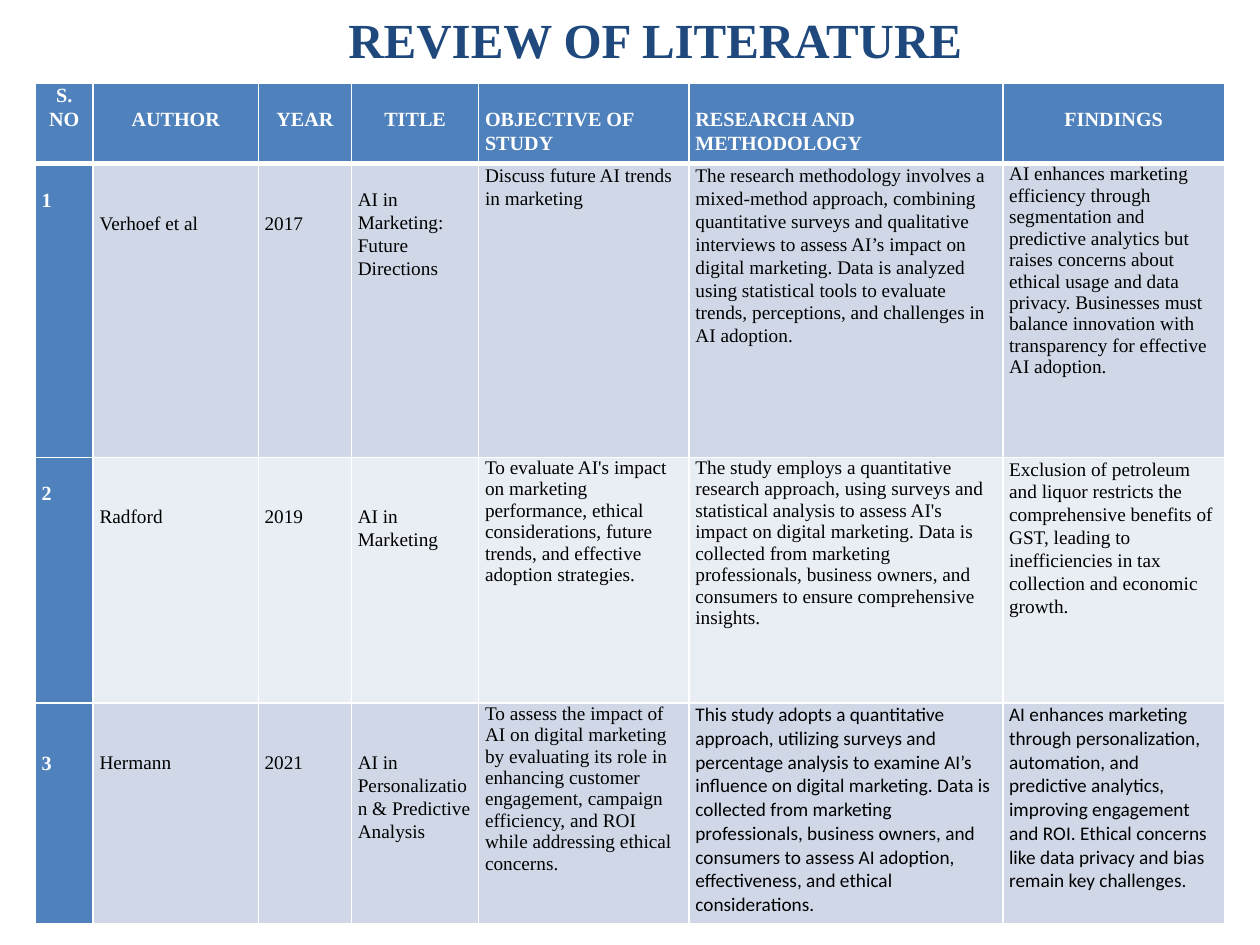
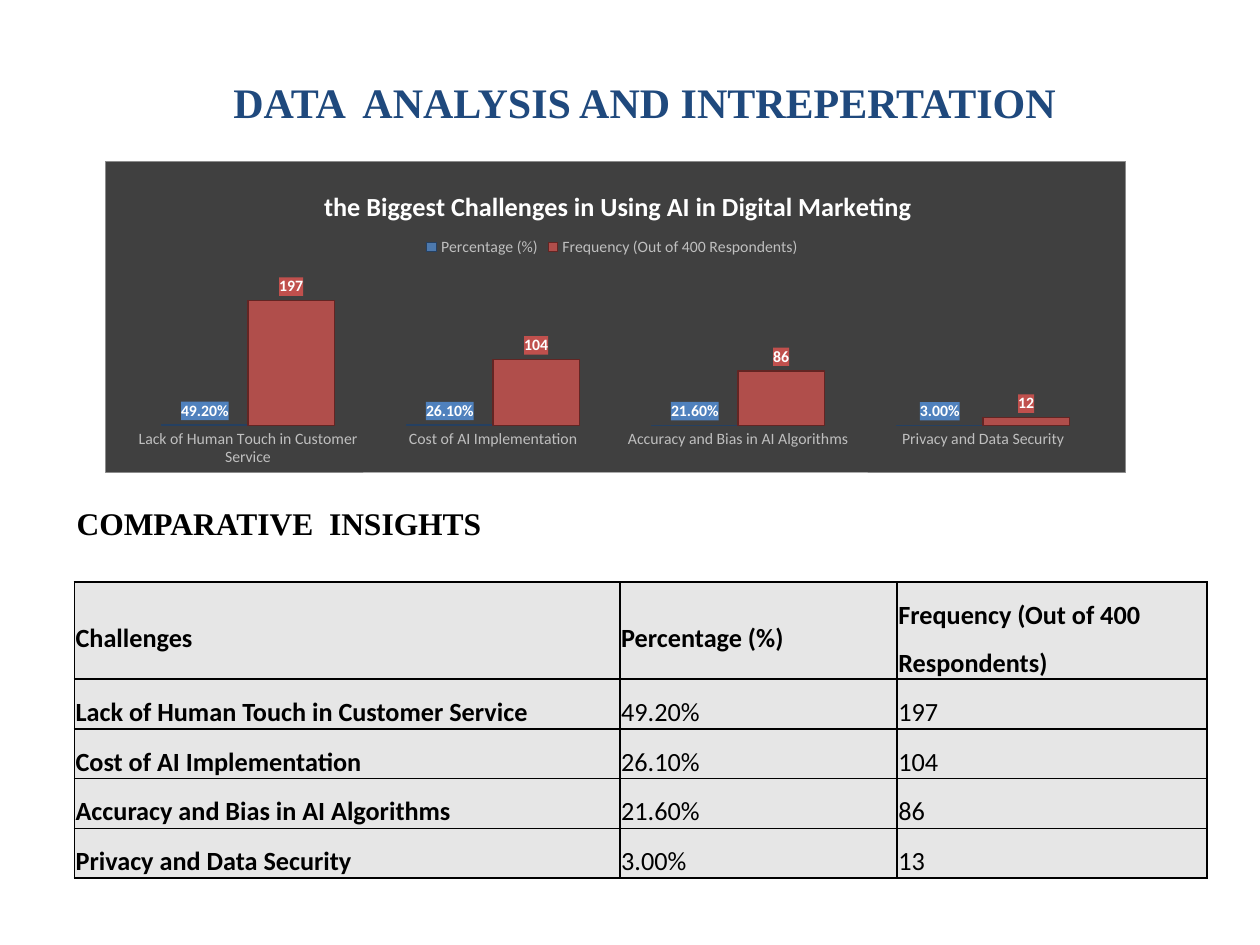
from lxml.etree import SubElement
from pptx import Presentation
from pptx.chart.data import CategoryChartData
from pptx.dml.color import RGBColor
from pptx.enum.chart import XL_CHART_TYPE as ChartType
from pptx.enum.chart import XL_LABEL_POSITION as LabelPosition
from pptx.enum.chart import XL_LEGEND_POSITION as LegendPosition
from pptx.enum.chart import XL_TICK_MARK as TickMark
from pptx.enum.text import MSO_ANCHOR as Anchor
from pptx.enum.text import MSO_AUTO_SIZE as AutoSize
from pptx.enum.text import PP_ALIGN as Align
from pptx.oxml import parse_xml
from pptx.oxml.ns import nsdecls, qn
from pptx.util import Inches, Pt

COLORS = {
    "navy": "1F497D", "blue": "4F81BD", "red": "C0504D",
    "dark_blue": "254061", "dark_red": "632523",
    "band": "D0D8E8", "light_band": "E9EDF4", "gray": "E6E6E6",
    "charcoal": "404040", "chart_border": "8C8C8C", "silver": "BFBFBF",
    "white": "FFFFFF", "black": "000000",
}
SERIF, SANS = "Times New Roman", "Calibri"
LINE_STEP = 0.19

LITERATURE_COLUMNS = [
    ("S. NO", 0.46, 0, Align.CENTER),
    ("AUTHOR", 1.31, 1, Align.CENTER),
    ("YEAR", 0.74, 1, Align.CENTER),
    ("TITLE", 1.01, 1, Align.CENTER),
    ("OBJECTIVE OF STUDY", 1.67, 1, Align.LEFT),
    ("RESEARCH AND METHODOLOGY", 2.49, 1, Align.LEFT),
    ("FINDINGS", 1.76, 1, Align.CENTER),
]
LITERATURE_HEIGHTS = [0.64, 2.33, 1.95, 1.75]
STUDIES = [
    ["1", "Verhoef et al", "2017", "AI in Marketing: Future Directions",
     "Discuss future AI trends in marketing",
     "The research methodology involves a mixed-method approach, combining quantitative surveys "
     "and qualitative interviews to assess AI’s impact on digital marketing. Data is analyzed "
     "using statistical tools to evaluate trends, perceptions, and challenges in AI adoption.",
     "AI enhances marketing efficiency through segmentation and predictive analytics but raises "
     "concerns about ethical usage and data privacy. Businesses must balance innovation with "
     "transparency for effective AI adoption."],
    ["2", "Radford", "2019", "AI in Marketing",
     "To evaluate AI's impact on marketing performance, ethical considerations, future trends, "
     "and effective adoption strategies.",
     "The study employs a quantitative research approach, using surveys and statistical analysis "
     "to assess AI's impact on digital marketing. Data is collected from marketing "
     "professionals, business owners, and consumers to ensure comprehensive insights.",
     "Exclusion of petroleum and liquor restricts the comprehensive benefits of GST, leading to "
     "inefficiencies in tax collection and economic growth."],
    ["3", "Hermann", "2021", "AI in Personalization & Predictive Analysis",
     "To assess the impact of AI on digital marketing by evaluating its role in enhancing "
     "customer engagement, campaign efficiency, and ROI while addressing ethical concerns.",
     "This study adopts a quantitative approach, utilizing surveys and percentage analysis to "
     "examine AI’s influence on digital marketing. Data is collected from marketing "
     "professionals, business owners, and consumers to assess AI adoption, effectiveness, and "
     "ethical considerations.",
     "AI enhances marketing through personalization, automation, and predictive analytics, "
     "improving engagement and ROI. Ethical concerns like data privacy and bias remain key "
     "challenges."],
]
STUDY_OFFSETS = [[1, 2, 2, 1, 0, 0, 0], [1, 2, 2, 2, 0, 0, 0], [2, 2, 2, 2, 0, 0, 0]]
SINGLE_SPACED = {(1, 6), (2, 4), (2, 5), (3, 4), (3, 5), (3, 6)}
SANS_CELLS = {(3, 5), (3, 6)}

CHALLENGES = ["Lack of Human Touch in Customer Service", "Cost of AI Implementation",
              "Accuracy and Bias in AI Algorithms", "Privacy and Data Security"]
PERCENTAGES = [0.492, 0.261, 0.216, 0.03]
CHART_FREQUENCIES = [197, 104, 86, 12]
TABLE_FREQUENCIES = [197, 104, 86, 13]
PERCENTAGE_NAME = "Percentage (%)"
FREQUENCY_NAME = "Frequency (Out of 400 Respondents)"


def rgb(color):
    return RGBColor.from_string(COLORS[color])


def format_font(font, size, color, bold=False, name=SANS):
    font.size, font.bold, font.name = Pt(size), bold, name
    font.color.rgb = rgb(color)


def write_text(text_frame, text, size=11, color="black", bold=False, name=SERIF,
               align=Align.LEFT, spacing=1.0, after=0):
    paragraph = text_frame.paragraphs[0]
    paragraph.alignment, paragraph.line_spacing = align, spacing
    paragraph.space_before, paragraph.space_after = Pt(0), Pt(after)
    run = paragraph.add_run()
    run.text = text
    format_font(run.font, size, color, bold, name)


def add_titled_slide(presentation, text, box, size):
    slide = presentation.slides.add_slide(presentation.slide_layouts[5])
    title = slide.shapes.title
    title.left, title.top, title.width, title.height = map(Inches, box)
    title.text_frame.auto_size = AutoSize.NONE
    write_text(title.text_frame, text, size=size, color="navy", bold=True, align=Align.CENTER)
    return slide


def add_heading(slide, text, box):
    heading = slide.shapes.add_textbox(*map(Inches, box))
    heading.text_frame.word_wrap = True
    write_text(heading.text_frame, text, size=18, bold=True)


def add_sized_table(slide, left, top, widths, heights):
    frame = slide.shapes.add_table(len(heights), len(widths), Inches(left), Inches(top),
                                   Inches(sum(widths)), Inches(sum(heights)))
    for column, width in zip(frame.table.columns, widths):
        column.width = Inches(width)
    for row, height in zip(frame.table.rows, heights):
        row.height = Inches(height)
    return frame.table


def fill_cell(cell, text, fill, margins, border, top=1, bottom=1, **text_format):
    cell.margin_left, cell.margin_top, cell.margin_right, cell.margin_bottom = map(Inches, margins)
    write_text(cell.text_frame, text, **text_format)
    properties = cell._tc.get_or_add_tcPr()
    for side, width in {"lnL": 1, "lnR": 1, "lnT": top, "lnB": bottom}.items():
        line = SubElement(properties, qn(f"a:{side}"), w=str(Pt(width)))
        solid = SubElement(line, qn("a:solidFill"))
        SubElement(solid, qn("a:srgbClr"), val=COLORS[border])
    cell.fill.solid()
    cell.fill.fore_color.rgb = rgb(fill)


def add_literature_table(slide):
    names, widths, header_offsets, aligns = zip(*LITERATURE_COLUMNS)
    table = add_sized_table(slide, 0.28, 0.66, widths, LITERATURE_HEIGHTS)
    rows = zip([names] + STUDIES, [header_offsets] + STUDY_OFFSETS)
    for row, (texts, offsets) in enumerate(rows):
        for column, (text, offset) in enumerate(zip(texts, offsets)):
            heading = row == 0 or column == 0
            fill = "blue" if heading else "band" if row % 2 else "light_band"
            fill_cell(
                table.cell(row, column), text, fill,
                (0.05, offset * LINE_STEP, 0.05, 0), "white",
                top=3 if row == 1 else 1, bottom=3 if row == 0 else 1,
                size=11.5 if heading else 11, color="white" if heading else "black",
                bold=heading, name=SANS if (row, column) in SANS_CELLS else SERIF,
                align=aligns[column] if row == 0 else Align.LEFT,
                spacing=1.0 if (row, column) in SINGLE_SPACED else 1.07)


def add_challenges_table(slide):
    rows = [("Challenges", PERCENTAGE_NAME, FREQUENCY_NAME)]
    rows += [(challenge, f"{percentage:.2%}", str(frequency)) for challenge, percentage, frequency
             in zip(CHALLENGES, PERCENTAGES, TABLE_FREQUENCIES)]
    table = add_sized_table(slide, 0.59, 4.62, [4.33, 2.2, 2.46], [0.77] + [0.39] * len(CHALLENGES))
    for row, texts in enumerate(rows):
        for column, text in enumerate(texts):
            cell = table.cell(row, column)
            cell.vertical_anchor = Anchor.MIDDLE
            fill_cell(cell, text, "gray", (0.01,) * 4, "black", size=15, name=SANS,
                      bold=row == 0 or column == 0, spacing=1.5, after=8)


def place_chart_part(element, index, **fractions):
    for old_layout in element.findall(qn("c:layout")):
        element.remove(old_layout)
    layout = parse_xml(f"<c:layout {nsdecls('c')}><c:manualLayout/></c:layout>")
    manual = layout[0]
    if "w" in fractions:
        SubElement(manual, qn("c:layoutTarget"), val="inner")
    for key in ("x", "y"):
        SubElement(manual, qn(f"c:{key}Mode"), val="edge")
    for key, value in fractions.items():
        SubElement(manual, qn(f"c:{key}"), val=str(value))
    element.insert(index, layout)


def chart_fill(fill, border=None):
    line = (f'<a:ln w="{Pt(0.5)}"><a:solidFill><a:srgbClr val="{COLORS[border]}"/></a:solidFill></a:ln>'
            if border else "")
    return parse_xml(f'<c:spPr {nsdecls("c", "a")}><a:solidFill><a:srgbClr val="{COLORS[fill]}"/>'
                     f"</a:solidFill>{line}</c:spPr>")


def format_series(series, color, line_color, number_format):
    fill = series.format.fill
    fill.solid()
    fill.fore_color.rgb = rgb(color)
    color_element = series._element.find(f".//{qn('a:srgbClr')}")
    SubElement(color_element, qn("a:alpha"), val="88000")
    series.format.line.color.rgb = rgb(line_color)
    series.format.line.width = Pt(0.75)
    labels = series.data_labels
    labels.show_value = True
    labels.position = LabelPosition.OUTSIDE_END
    labels.number_format, labels.number_format_is_linked = number_format, False
    format_font(labels.font, 9, "white", bold=True)
    labels._element.find(qn("c:txPr")).addprevious(chart_fill(color))


def add_challenges_chart(slide):
    data = CategoryChartData()
    data.categories = CHALLENGES
    data.add_series(PERCENTAGE_NAME, PERCENTAGES, "0.00%")
    data.add_series(FREQUENCY_NAME, CHART_FREQUENCIES, "General")
    box = map(Inches, (0.83, 1.28, 8.11, 2.47))
    chart = slide.shapes.add_chart(ChartType.COLUMN_CLUSTERED, *box, data).chart
    format_font(chart.font, 10, "black")
    chart._chartSpace.find(qn("c:chart")).addnext(chart_fill("charcoal", "chart_border"))

    chart.has_title = True
    write_text(chart.chart_title.text_frame, "the Biggest Challenges in Using AI in Digital Marketing",
               size=15, color="white", bold=True, name=SANS, align=Align.CENTER)
    chart.has_legend = True
    chart.legend.position = LegendPosition.TOP
    chart.legend.include_in_layout = False
    format_font(chart.legend.font, 9, "silver")

    plot = chart.plots[0]
    plot.gap_width, plot.overlap, plot.vary_by_categories = 84, 0, False
    format_series(plot.series[0], "blue", "dark_blue", "0.00%")
    format_series(plot.series[1], "red", "dark_red", "General")

    category_axis, value_axis = chart.category_axis, chart.value_axis
    category_axis.major_tick_mark = TickMark.NONE
    category_axis.format.line.fill.background()
    format_font(category_axis.tick_labels.font, 9, "silver")
    value_axis.has_major_gridlines = False
    value_axis.minimum_scale, value_axis.maximum_scale = 0, 250
    value_axis.visible = False

    place_chart_part(chart.chart_title._element, 1, x=0.21, y=0.07)
    place_chart_part(chart.legend._element, 1, x=0.31, y=0.23)
    place_chart_part(chart._chartSpace.find(f".//{qn('c:plotArea')}"), 0,
                     x=0.02, y=0.34, w=0.96, h=0.51)


def main():
    presentation = Presentation()
    presentation.slide_width, presentation.slide_height = Inches(10), Inches(7.5)

    literature = add_titled_slide(presentation, "REVIEW OF LITERATURE", (2.4, 0.02, 5.6, 0.57), 28)
    add_literature_table(literature)

    analysis = add_titled_slide(presentation, "DATA  ANALYSIS AND INTREPERTATION",
                                (0.55, 0.56, 9.13, 0.5), 24)
    add_heading(analysis, "COMPARATIVE  INSIGHTS", (0.51, 3.95, 3.6, 0.4))
    add_challenges_chart(analysis)
    add_challenges_table(analysis)

    presentation.save("out.pptx")


if __name__ == "__main__":
    main()
